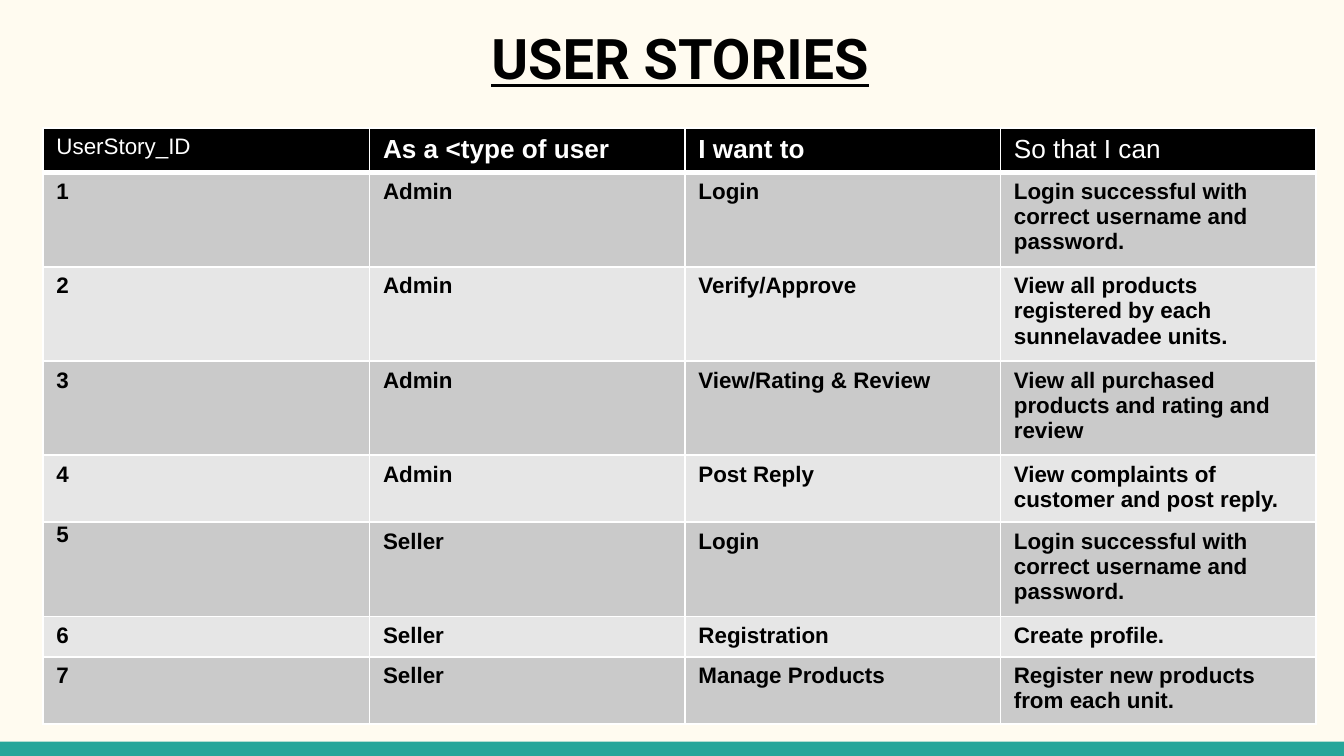
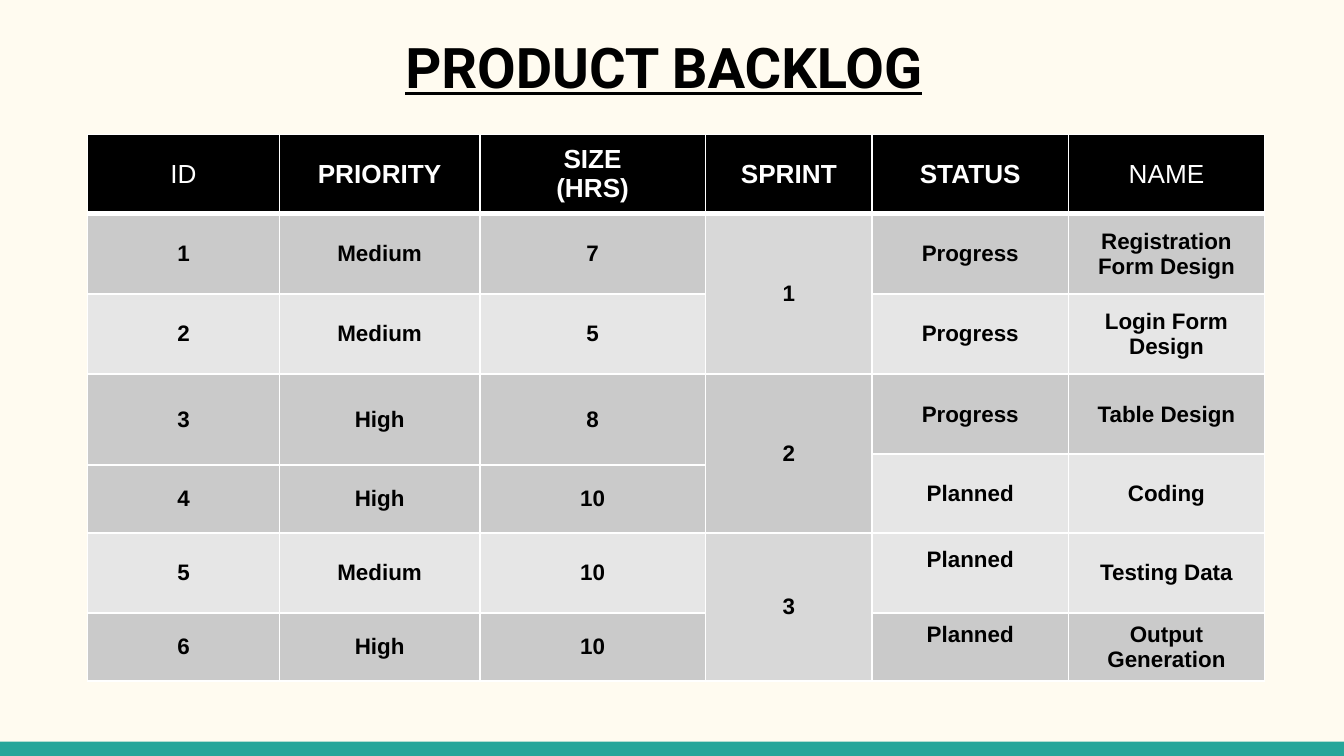
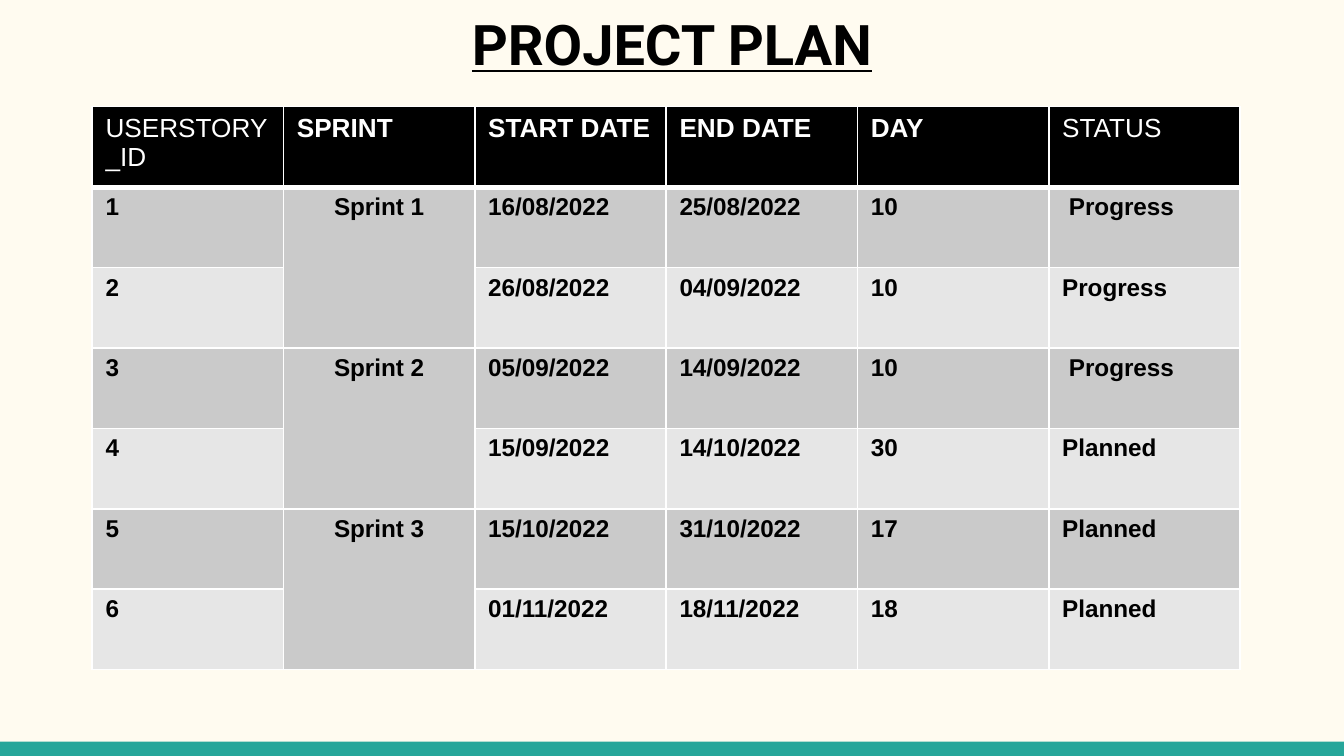
from dataclasses import dataclass, field
from typing import Optional

import pptx
import pptx.dml.color
import pptx.enum.shapes
import pptx.enum.text
import pptx.oxml.ns
import pptx.util
from lxml import etree

RGBColor = pptx.dml.color.RGBColor
Pt = pptx.util.Pt
Inches = pptx.util.Inches
Align = pptx.enum.text.PP_ALIGN
Anchor = pptx.enum.text.MSO_ANCHOR

CREAM = RGBColor(0xFF, 0xFB, 0xF0)
TEAL = RGBColor(0x26, 0xA6, 0x9A)
BLACK = RGBColor(0x00, 0x00, 0x00)
WHITE = RGBColor(0xFF, 0xFF, 0xFF)
DARK_BAND = RGBColor(0xCA, 0xCA, 0xCA)
LIGHT_BAND = RGBColor(0xE6, 0xE6, 0xE6)
SPRINT_GREY = RGBColor(0xD8, 0xD8, 0xD8)

WIDTH = Inches(10)
HEIGHT = Inches(5.625)
TITLE_WIDTH = 93.2
FOOTER_TOP = 98.1

Place = tuple[int, int]
Margins = tuple[float, float, float, float]
CELL_MARGINS: Margins = (0.1, 0.05, 0.1, 0.05)
RAISED_MARGINS: Margins = (0.1, 0.05, 0.1, 0.24)


@dataclass(frozen=True)
class Grid:
    """A table; lengths are percentages of the slide, None continues the cell above."""
    left: float
    top: float
    columns: list[float]
    rows: list[float]
    cells: list[list[Optional[str]]]
    header_size: dict[int, int] = field(default_factory=dict)
    body_size: int = 12
    align: Align = Align.LEFT
    anchor: Anchor = Anchor.TOP
    centred_columns: tuple[int, ...] = ()
    fills: dict[Place, RGBColor] = field(default_factory=dict)
    margins: dict[Place, Margins] = field(default_factory=dict)


@dataclass(frozen=True)
class Page:
    title: str
    title_left: float
    title_top: float
    title_height: float
    grid: Grid


USER_STORIES = Grid(
    left=3.2, top=16.9,
    columns=[24.3] + [23.47] * 3,
    rows=[5.8, 11.6, 11.6, 11.6, 8.75, 11.6, 5.3, 8.75],
    header_size={0: 12},
    margins={(5, 0): (0.1, 0, 0.2, 0)},
    cells=[
        ["UserStory_ID", "As a <type of user", "I want to", "So that I can"],
        ["1", "Admin", "Login", "Login successful with correct username and password."],
        ["2", "Admin", "Verify/Approve",
         "View all products registered by each sunnelavadee units."],
        ["3", "Admin", "View/Rating & Review",
         "View all purchased products and rating and review"],
        ["4", "Admin", "Post Reply", "View complaints of customer and post reply."],
        ["5", "Seller", "Login", "Login successful with correct username and password."],
        ["6", "Seller", "Registration", "Create profile."],
        ["7", "Seller", "Manage Products", "Register new products from each unit."],
    ],
)

PRODUCT_BACKLOG = Grid(
    left=6.5, top=17.8,
    columns=[14.3, 14.9, 16.8, 12.4, 14.6, 14.6],
    rows=[10.45, 10.65, 10.6, 10.6, 1.45, 8.95, 10.6, 9.0],
    align=Align.CENTER,
    anchor=Anchor.MIDDLE,
    fills={(1, 3): SPRINT_GREY, (6, 3): SPRINT_GREY},
    margins={(6, 4): RAISED_MARGINS, (7, 4): RAISED_MARGINS},
    cells=[
        ["ID", "PRIORITY", "SIZE\n(HRS)", "SPRINT", "STATUS", "NAME"],
        ["1", "Medium", "7", "1", "Progress", "Registration Form Design"],
        ["2", "Medium", "5", None, "Progress", "Login Form Design"],
        ["3", "High", "8", "2", "Progress", "Table Design"],
        [None, None, None, None, "Planned", "Coding"],
        ["4", "High", "10", None, None, None],
        ["5", "Medium", "10", "3", "Planned", "Testing Data"],
        ["6", "High", "10", None, "Planned", "Output Generation"],
    ],
)

PROJECT_PLAN = Grid(
    left=6.85, top=14.1,
    columns=[14.24] * 6,
    rows=[10.64] * 7,
    body_size=13,
    centred_columns=(1,),
    cells=[
        ["USERSTORY_ID", "SPRINT", "START DATE", "END DATE", "DAY", "STATUS"],
        ["1", "Sprint 1", "16/08/2022", "25/08/2022", "10", " Progress"],
        ["2", None, "26/08/2022", "04/09/2022", "10", "Progress"],
        ["3", "Sprint 2", "05/09/2022", "14/09/2022", "10", " Progress"],
        ["4", None, "15/09/2022", "14/10/2022", "30", "Planned"],
        ["5", "Sprint 3", "15/10/2022", "31/10/2022", "17", "Planned"],
        ["6", None, "01/11/2022", "18/11/2022", "18", "Planned"],
    ],
)

PAGES = [
    Page("USER STORIES", 4, 1.4, 11.7, USER_STORIES),
    Page("PRODUCT BACKLOG", 2.8, 2.5, 9.8, PRODUCT_BACKLOG),
    Page("PROJECT PLAN", 3.4, -0.5, 11, PROJECT_PLAN),
]


def across(percent: float) -> int:
    return round(WIDTH * percent / 100)


def down(percent: float) -> int:
    return round(HEIGHT * percent / 100)


def write(frame, text: str, *, size: int, color: RGBColor = BLACK, font: str = "Arial",
          bold: bool = True, underline: bool = False, align: Align = Align.LEFT) -> None:
    """Fill a text frame, one paragraph for each line of text."""
    for number, line in enumerate(text.split("\n")):
        para = frame.add_paragraph() if number else frame.paragraphs[0]
        para.alignment = align
        span = para.add_run()
        span.text = line
        span.font.name = font
        span.font.size = Pt(size)
        span.font.bold = bold
        span.font.underline = underline
        span.font.color.rgb = color


def set_margins(target, margins: Margins) -> None:
    (target.margin_left, target.margin_top,
     target.margin_right, target.margin_bottom) = map(Inches, margins)


def set_borders(cell, **points: float) -> None:
    """Draw white cell borders; keys are the sides L, R, T and B."""
    properties = cell._tc.get_or_add_tcPr()
    for side, width in points.items():
        line = etree.SubElement(properties, pptx.oxml.ns.qn(f"a:ln{side}"), w=str(Pt(width)))
        fill = etree.SubElement(line, pptx.oxml.ns.qn("a:solidFill"))
        etree.SubElement(fill, pptx.oxml.ns.qn("a:srgbClr"), val=str(WHITE))


def merge_down(table, grid: Grid, row: int, column: int) -> None:
    last = row
    while last + 1 < len(grid.rows) and grid.cells[last + 1][column] is None:
        last += 1
    if last > row:
        table.cell(row, column).merge(table.cell(last, column))


def style_cell(cell, grid: Grid, row: int, column: int) -> None:
    set_borders(cell, L=1, R=1, T=3 if row == 1 else 1, B=3 if row == 0 else 1)
    band = DARK_BAND if row % 2 else LIGHT_BAND
    cell.fill.solid()
    cell.fill.fore_color.rgb = grid.fills.get((row, column), band if row else BLACK)
    cell.vertical_anchor = grid.anchor
    set_margins(cell, grid.margins.get((row, column), CELL_MARGINS))


def write_cell(cell, grid: Grid, row: int, column: int) -> None:
    is_header = row == 0
    is_edge = column in (0, len(grid.columns) - 1)
    is_centred = not is_header and column in grid.centred_columns
    write(cell.text_frame, grid.cells[row][column],
          size=grid.header_size.get(column, 14) if is_header else grid.body_size,
          color=WHITE if is_header else BLACK,
          bold=not (is_header and is_edge),
          align=Align.CENTER if is_centred else grid.align)


def add_grid(slide, grid: Grid) -> None:
    table = slide.shapes.add_table(
        len(grid.rows), len(grid.columns), across(grid.left), down(grid.top),
        across(sum(grid.columns)), down(sum(grid.rows))).table
    for column, width in zip(table.columns, grid.columns):
        column.width = across(width)
    for row, height in zip(table.rows, grid.rows):
        row.height = down(height)
    for row, texts in enumerate(grid.cells):
        for column, text in enumerate(texts):
            cell = table.cell(row, column)
            style_cell(cell, grid, row, column)
            if text is not None:
                merge_down(table, grid, row, column)
                write_cell(cell, grid, row, column)


def add_title(slide, page: Page) -> None:
    box = slide.shapes.add_textbox(across(page.title_left), down(page.title_top),
                                   across(TITLE_WIDTH), down(page.title_height))
    frame = box.text_frame
    frame.word_wrap = True
    frame.vertical_anchor = Anchor.TOP
    set_margins(frame, (0.1, 0.1, 0.1, 0.1))
    write(frame, page.title, size=30, font="Roboto", underline=True, align=Align.CENTER)


def add_footer(slide) -> None:
    band = slide.shapes.add_shape(pptx.enum.shapes.MSO_SHAPE.RECTANGLE, 0, down(FOOTER_TOP),
                                  WIDTH, down(100 - FOOTER_TOP))
    band.shadow.inherit = False
    band.fill.solid()
    band.fill.fore_color.rgb = TEAL
    band.line.fill.background()


def main() -> None:
    deck = pptx.Presentation()
    deck.slide_width, deck.slide_height = WIDTH, HEIGHT
    background = deck.slide_master.background.fill
    background.solid()
    background.fore_color.rgb = CREAM
    for page in PAGES:
        slide = deck.slides.add_slide(deck.slide_layouts[6])
        add_footer(slide)
        add_title(slide, page)
        add_grid(slide, page.grid)
    deck.save("out.pptx")


if __name__ == "__main__":
    main()
